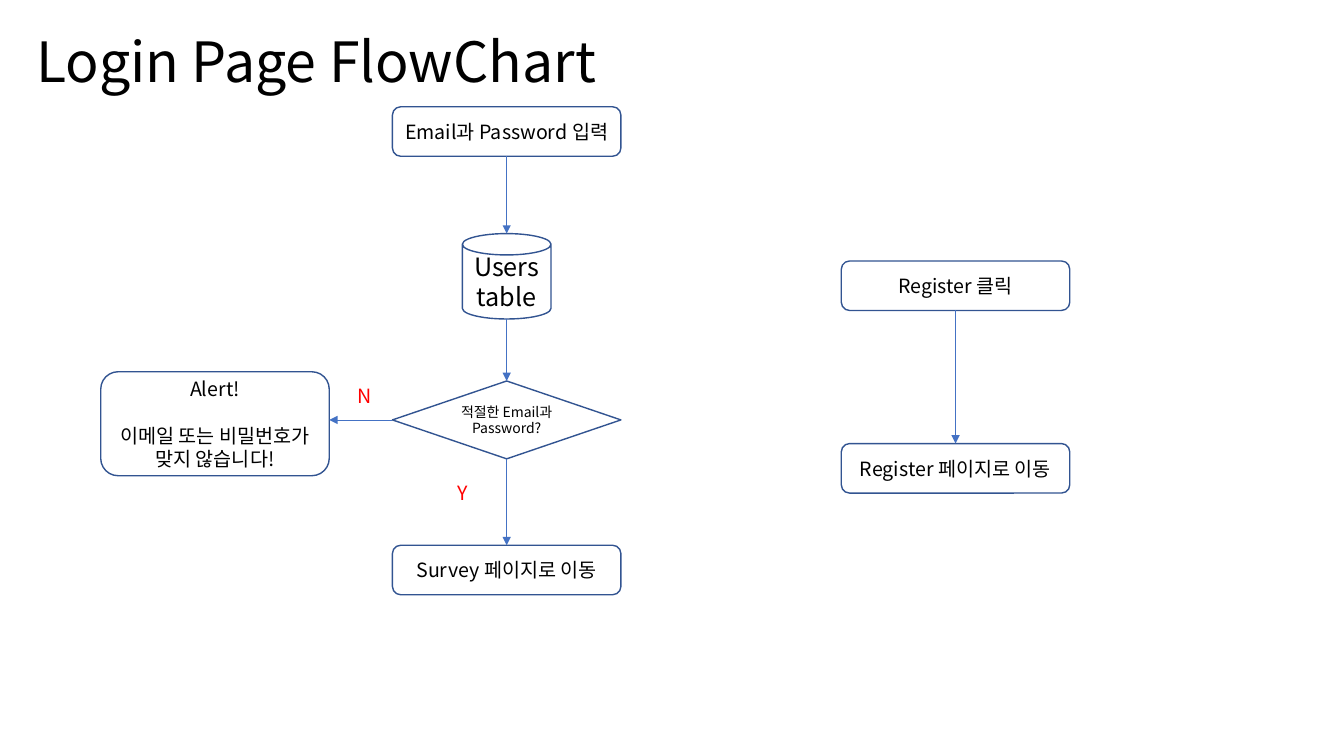
from pptx import Presentation
from pptx import util as u
from pptx.dml.color import RGBColor
from pptx.enum import shapes, text
from pptx.oxml.ns import qn
from lxml import etree

FONT = "Noto Sans CJK KR"
WIDE, HIGH = 13.33, 7.5
# Lengths are percentages of the slide's width and height.
ALERT, LOGIN, SIGNUP = 16, 37.7, 71.1
BOX_W, BOX_H = 17, 6.55
KIND = shapes.MSO_SHAPE


def across(share):
    return u.Inches(WIDE * share / 100)


def down(share):
    return u.Inches(HIGH * share / 100)


def rgb(code):
    return RGBColor.from_string(code)


def frame(mid_x, mid_y, width, height):
    """Turn a centre and a size into left, top, width and height."""
    return (across(mid_x - width / 2), down(mid_y - height / 2),
            across(width), down(height))


def write(shape, words, size, color="000000", align=text.PP_ALIGN.CENTER):
    body = shape.text_frame
    body.text = words
    body.vertical_anchor = text.MSO_ANCHOR.MIDDLE
    for para in body.paragraphs:
        para.alignment = align
        for run in para.runs:
            run.font.size = u.Pt(size)
            run.font.name = FONT
            run.font.color.rgb = rgb(color)
            latin = run.font._element.find(qn("a:latin"))
            east = etree.Element(qn("a:ea"), typeface=FONT)
            latin.addnext(east)


def node(slide, kind, mid_x, mid_y, words, size=14, width=BOX_W, height=BOX_H):
    shape = slide.shapes.add_shape(kind, *frame(mid_x, mid_y, width, height))
    shape.shadow.inherit = False
    shape.fill.solid()
    shape.fill.fore_color.rgb = rgb("FFFFFF")
    shape.line.color.rgb = rgb("325491")
    shape.line.width = u.Pt(1)
    shape.text_frame.word_wrap = True
    write(shape, words, size)
    return shape


def label(slide, mid_x, mid_y, words):
    box = slide.shapes.add_textbox(*frame(mid_x, mid_y, 2.6, 4.5))
    box.text_frame.word_wrap = False
    write(box, words, 14, "FF0000")


def title(slide, words):
    box = slide.shapes.add_textbox(*frame(24.45, 8.5, 45, 8.1))
    box.text_frame.word_wrap = True
    write(box, words, 39.6, align=text.PP_ALIGN.LEFT)
    box.text_frame.paragraphs[0].line_spacing = 0.9


def arrow(slide, start, end):
    link = slide.shapes.add_connector(
        shapes.MSO_CONNECTOR.STRAIGHT, *start, *end)
    link.line.color.rgb = rgb("4472C4")
    link.line.width = u.Pt(0.5)
    etree.SubElement(link.line._get_or_add_ln(), qn("a:tailEnd"),
                     type="triangle")
    etree.SubElement(link._element.spPr, qn("a:effectLst"))


def drop(slide, upper, lower):
    """Join two stacked nodes with an arrow."""
    mid = upper.left + upper.width // 2
    arrow(slide, (mid, upper.top + upper.height), (mid, lower.top))


def login(slide):
    entry = node(slide, KIND.ROUNDED_RECTANGLE, LOGIN, 17.4,
                 "Email과 Password 입력")
    users = node(slide, KIND.CAN, LOGIN, 36.55, "Users table",
                 size=18, width=6.6, height=11.3)
    check = node(slide, KIND.DIAMOND, LOGIN, 55.55,
                 "적절한 Email과 Password?", size=10, height=10.3)
    survey = node(slide, KIND.ROUNDED_RECTANGLE, LOGIN, 75.4,
                  "Survey 페이지로 이동")
    steps = [entry, users, check, survey]
    for upper, lower in zip(steps, steps[1:]):
        drop(slide, upper, lower)

    alert = node(slide, KIND.ROUNDED_RECTANGLE, ALERT, 56.05,
                 "Alert!\n이메일 또는 비밀번호가 맞지 않습니다!", height=13.75)
    alert.text_frame.paragraphs[0].space_after = u.Pt(16.8)
    mid = check.top + check.height // 2
    arrow(slide, (check.left, mid), (alert.left + alert.width, mid))
    label(slide, 27.1, 52.4, "N")
    label(slide, 34.4, 65.2, "Y")


def signup(slide):
    click = node(slide, KIND.ROUNDED_RECTANGLE, SIGNUP, 37.8, "Register 클릭")
    page = node(slide, KIND.ROUNDED_RECTANGLE, SIGNUP, 61.95,
                "Register 페이지로 이동")
    drop(slide, click, page)


def main():
    deck = Presentation()
    deck.slide_width, deck.slide_height = across(100), down(100)
    slide = deck.slides.add_slide(deck.slide_layouts[6])
    title(slide, "Login Page FlowChart")
    login(slide)
    signup(slide)
    deck.save("out.pptx")


if __name__ == "__main__":
    main()
